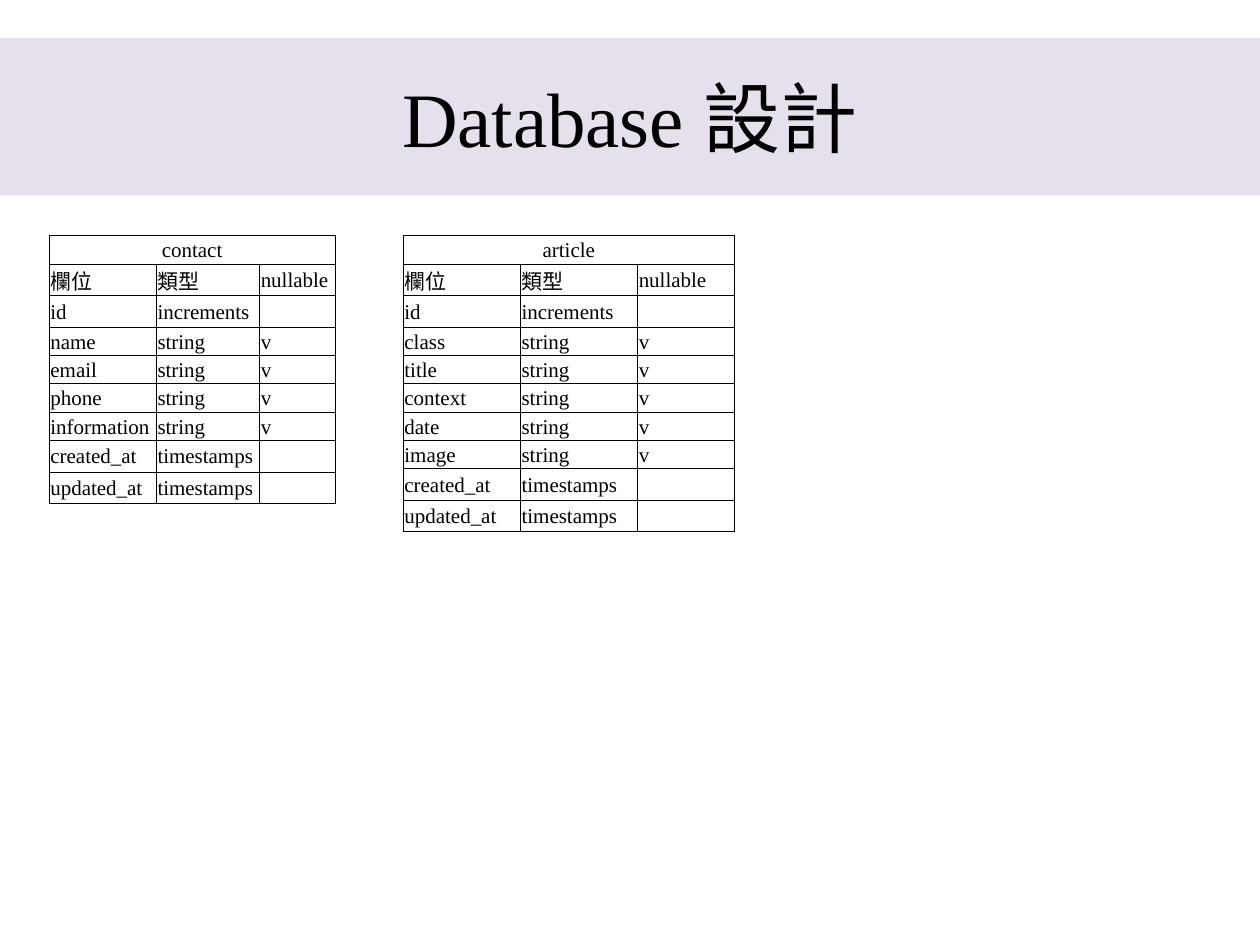
from dataclasses import dataclass

from lxml import etree
from pptx import Presentation
from pptx.dml.color import RGBColor
from pptx.enum.shapes import MSO_SHAPE
from pptx.enum.text import MSO_ANCHOR, PP_ALIGN
from pptx.oxml.ns import qn
from pptx.util import Inches, Pt

RECTANGLE = MSO_SHAPE.RECTANGLE
MIDDLE = MSO_ANCHOR.MIDDLE
LEFT, CENTER = PP_ALIGN.LEFT, PP_ALIGN.CENTER


@dataclass(frozen=True)
class Theme:
    font: str = "Times New Roman"
    ink: str = "000000"
    band: str = "E6E0EC"
    title_size: int = 44
    cell_size: int = 12
    border: float = 0.5


THEME = Theme()
TABLE_TOP = 1.87
ROW_HEIGHT, TALL_ROW_HEIGHT = 0.225, 0.25
HEADER = ("欄位", "類型", "nullable")
CONTACT_FIELDS = ("name", "email", "phone", "information")
ARTICLE_FIELDS = ("class", "title", "context", "date", "image")


def write_text(frame, text, size=THEME.cell_size, align=LEFT):
    para = frame.paragraphs[0]
    para.alignment = align
    if not text:
        # An empty cell keeps the type size through its end mark
        end = etree.SubElement(para._p, qn("a:endParaRPr"))
        end.set("sz", str(size * 100))
        return
    span = para.add_run()
    span.text = text
    span.font.name = THEME.font
    span.font.size = Pt(size)
    span.font.color.rgb = RGBColor.from_string(THEME.ink)


def add_title_band(page, text):
    band = page.shapes.add_shape(
        RECTANGLE, Inches(0), Inches(0.3), Inches(10), Inches(1.25))
    band.shadow.inherit = False
    band.fill.solid()
    band.fill.fore_color.rgb = RGBColor.from_string(THEME.band)
    band.line.fill.background()
    band.text_frame.word_wrap = True
    band.text_frame.vertical_anchor = MIDDLE
    write_text(band.text_frame, text, size=THEME.title_size, align=CENTER)


def set_borders(cell):
    properties = cell._tc.get_or_add_tcPr()
    for index, side in enumerate(("a:lnL", "a:lnR", "a:lnT", "a:lnB")):
        line = etree.Element(qn(side), w=str(Pt(THEME.border)))
        fill = etree.SubElement(line, qn("a:solidFill"))
        etree.SubElement(fill, qn("a:srgbClr"), val=THEME.ink)
        properties.insert(index, line)


def format_cell(cell):
    cell.margin_left = cell.margin_top = cell.margin_right = Inches(0.01)
    cell.margin_bottom = 0
    cell.vertical_anchor = MIDDLE
    cell.fill.background()
    set_borders(cell)


def schema_rows(name, fields):
    return [
        (name, "", ""),
        HEADER,
        ("id", "increments", ""),
        *((field, "string", "v") for field in fields),
        ("created_at", "timestamps", ""),
        ("updated_at", "timestamps", ""),
    ]


def add_schema_table(page, name, fields, left, widths):
    rows = schema_rows(name, fields)
    # The header and the rows that are not nullable stand taller
    heights = [ROW_HEIGHT if row[2] == "v" or row[0] == name
               else TALL_ROW_HEIGHT for row in rows]
    frame = page.shapes.add_table(
        len(rows), len(widths), Inches(left), Inches(TABLE_TOP),
        Inches(sum(widths)), Inches(sum(heights)))
    table = frame.table
    table.first_row = table.horz_banding = False
    for column, width in zip(table.columns, widths):
        column.width = Inches(width)
    for row, height in zip(table.rows, heights):
        row.height = Inches(height)

    # The table name spans the first row
    table.cell(0, 0).merge(table.cell(0, len(widths) - 1))
    for row_index, row in enumerate(rows):
        for column_index, text in enumerate(row):
            cell = table.cell(row_index, column_index)
            format_cell(cell)
            write_text(cell.text_frame, text,
                       align=LEFT if row_index else CENTER)


def main():
    deck = Presentation()
    deck.slide_width, deck.slide_height = Inches(10), Inches(7.5)
    page = deck.slides.add_slide(deck.slide_layouts[6])

    add_title_band(page, "Database 設計")
    add_schema_table(page, "contact", CONTACT_FIELDS, 0.39, (0.85, 0.82, 0.6))
    add_schema_table(page, "article", ARTICLE_FIELDS, 3.2, (0.93, 0.93, 0.77))

    deck.save("out.pptx")


if __name__ == "__main__":
    main()
